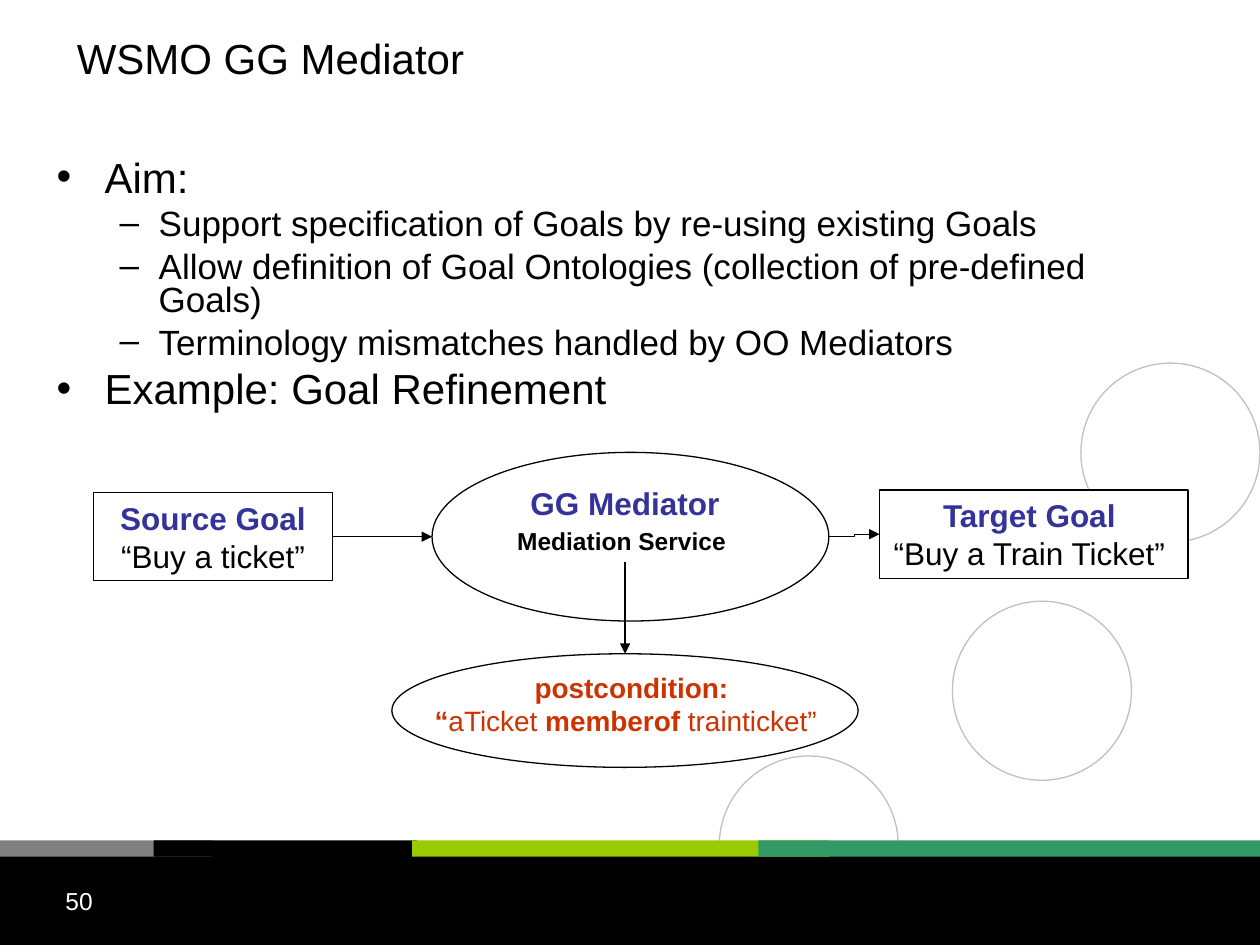
from lxml import etree
from pptx import Presentation
from pptx import util as u
from pptx.dml.color import RGBColor
from pptx.enum import shapes, text
from pptx.oxml import ns

BLACK, WHITE, BLUE, RED = "000000", "FFFFFF", "333399", "CC3300"
OVAL, RECT = shapes.MSO_SHAPE.OVAL, shapes.MSO_SHAPE.RECTANGLE
CENTER, LEFT = text.PP_ALIGN.CENTER, text.PP_ALIGN.LEFT


def color(value):
    """Return the colour for a hex string."""
    return RGBColor.from_string(value)


def place(box, left, top, width, height):
    """Return slide lengths for a part given in cm relative to a box."""
    return [u.Cm(n) for n in (box[0] + left, box[1] + top, width, height)]


def add_figure(slide, kind, bounds, fill=None, line=None):
    """Add a flat preset shape."""
    figure = slide.shapes.add_shape(kind, *bounds)
    figure.shadow.inherit = False
    if fill:
        figure.fill.solid()
        figure.fill.fore_color.rgb = color(fill)
    else:
        figure.fill.background()
    if line:
        figure.line.color.rgb = color(line)
        figure.line.width = u.Pt(0.75)
    else:
        figure.line.fill.background()
    return figure


def add_label(slide, bounds, wrap=True):
    """Add a text box and return its frame."""
    frame = slide.shapes.add_textbox(*bounds).text_frame
    frame.word_wrap = wrap
    return frame


def write(frame, runs, size, align=LEFT, before=0, first=False):
    """Write a paragraph from (words, hex colour, bold) runs."""
    paragraph = frame.paragraphs[0] if first else frame.add_paragraph()
    paragraph.alignment = align
    if before:
        paragraph.space_before = u.Pt(before)
    for words, ink, bold in runs:
        run = paragraph.add_run()
        run.text = words
        run.font.name = "Arial"
        run.font.size = u.Pt(size)
        run.font.bold = bold
        run.font.color.rgb = color(ink)
    return paragraph


def add_bullet(paragraph, mark, margin, hang):
    """Give a paragraph a hanging bullet."""
    properties = paragraph._p.get_or_add_pPr()
    properties.set("marL", str(u.Cm(margin)))
    properties.set("indent", str(-u.Cm(hang)))
    etree.SubElement(properties, ns.qn("a:buFont"), typeface="Arial")
    etree.SubElement(properties, ns.qn("a:buChar"), char=mark)


def add_arrow(slide, kind, box, start, end):
    """Add a thin black arrow between two points of a box."""
    points = [u.Cm(box[i] + point[i]) for point in (start, end) for i in (0, 1)]
    arrow = slide.shapes.add_connector(kind, *points)
    arrow.line.color.rgb = color(BLACK)
    arrow.line.width = u.Pt(0.75)
    etree.SubElement(arrow.line._get_or_add_ln(), ns.qn("a:tailEnd"), type="triangle")
    etree.SubElement(arrow._element.spPr, ns.qn("a:effectLst"))
    return arrow


def add_circles(slide, box):
    """Draw the grey background circles."""
    for left, top in ((0, 7.92), (4.7, 4.8), (7.29, 0)):
        add_figure(slide, OVAL, place(box, left, top, 3.61, 3.61), line="C0C0C0")


def add_footer(slide, box):
    """Draw the black footer, its colour strip and the page number."""
    add_figure(slide, RECT, place(box, 0, 0.21, 25.4, 1.91), BLACK)
    for left, width, fill in ((0, 4.29, "808080"), (3.1, 5.31, BLACK),
                              (8.31, 8.41, "99CC00"), (15.29, 10.11, "339966")):
        add_figure(slide, RECT, place(box, left, 0, width, 0.33), fill)
    number = add_label(slide, place(box, 1.07, 0.79, 5.92, 1.32))
    write(number, [("50", WHITE, False)], 14, first=True)


def add_title(slide, box):
    """Write the slide title."""
    title = add_label(slide, place(box, 0, 0, 19.89, 2.34))
    title.vertical_anchor = text.MSO_ANCHOR.MIDDLE
    write(title, [("WSMO GG Mediator", BLACK, False)], 24, first=True)


def add_points(slide, box):
    """Write the two-level bullet list."""
    points = add_label(slide, place(box, 0, 0, 22.83, 5.99))
    levels = ((24, 6, "•", 0.97, 0.97), (20, 5, "–", 2.06, 0.79))
    items = (
        (0, "Aim:"),
        (1, "Support specification of Goals by re-using existing Goals"),
        (1, "Allow definition of Goal Ontologies (collection of pre-defined Goals)"),
        (1, "Terminology mismatches handled by OO Mediators"),
        (0, "Example: Goal Refinement"),
    )
    for index, (level, words) in enumerate(items):
        size, before, mark, margin, hang = levels[level]
        point = write(points, [(words, BLACK, False)], size,
                      before=before if index else 0, first=index == 0)
        point.level = level
        point.line_spacing = 0.8
        add_bullet(point, mark, margin, hang)


def add_goal(slide, bounds, heading, quote, wrap):
    """Draw a goal box with its heading and example."""
    goal = add_figure(slide, RECT, bounds, WHITE, BLACK)
    frame = goal.text_frame
    frame.word_wrap = wrap
    frame.vertical_anchor = text.MSO_ANCHOR.TOP
    write(frame, [(heading, BLUE, True)], 18, CENTER, first=True)
    write(frame, [(quote, BLACK, False)], 18, CENTER)
    return goal


def add_diagram(slide, box):
    """Draw the goal refinement diagram."""
    add_figure(slide, OVAL, place(box, 6.83, 0, 8, 3.4), WHITE, BLACK)
    mediator = add_label(slide, place(box, 8.23, 0.51, 4.98, 1.7), wrap=False)
    write(mediator, [("GG Mediator", BLUE, True)], 18, CENTER, first=True)
    write(mediator, [("Mediation Service ", BLACK, True)], 14, CENTER, before=2.5)

    source = add_goal(slide, place(box, 0, 0.81, 4.83, 1.78),
                      "Source Goal", "“Buy a ticket”", True)
    target = add_goal(slide, place(box, 15.85, 0.76, 6.22, 1.78),
                      "Target Goal ", "“Buy a Train Ticket” ", False)

    postcondition = add_figure(slide, OVAL, place(box, 6.02, 4.06, 9.4, 2.29), WHITE, BLACK)
    condition = add_label(slide, place(box, 6.83, 4.27, 8.2, 2.29))
    condition.margin_left = condition.margin_right = u.Cm(0.05)
    write(condition, [("postcondition: ", RED, True)], 16, CENTER, first=True)
    write(condition, [("“", RED, True), ("aTicket ", RED, False),
                      ("memberof ", RED, True), ("trainticket”", RED, False)], 16)

    elbow, straight = shapes.MSO_CONNECTOR.ELBOW, shapes.MSO_CONNECTOR.STRAIGHT
    incoming = add_arrow(slide, elbow, box, (4.83, 1.7), (6.83, 1.7))
    incoming.begin_connect(source, 3)
    outgoing = add_arrow(slide, elbow, box, (14.83, 1.7), (15.85, 1.65))
    outgoing.end_connect(target, 1)
    downward = add_arrow(slide, straight, box, (10.72, 2.21), (10.72, 4.06))
    downward.end_connect(postcondition, 0)


def main():
    """Build and save the slide."""
    deck = Presentation()
    deck.slide_width, deck.slide_height = u.Cm(25.4), u.Cm(19.05)
    slide = deck.slides.add_slide(deck.slide_layouts[6])
    add_circles(slide, (14.5, 7.32))
    add_footer(slide, (0, 16.94))
    add_points(slide, (0.89, 3.12))
    add_diagram(slide, (1.88, 9.12))
    add_title(slide, (1.3, 0))
    deck.save("out.pptx")


if __name__ == "__main__":
    main()
